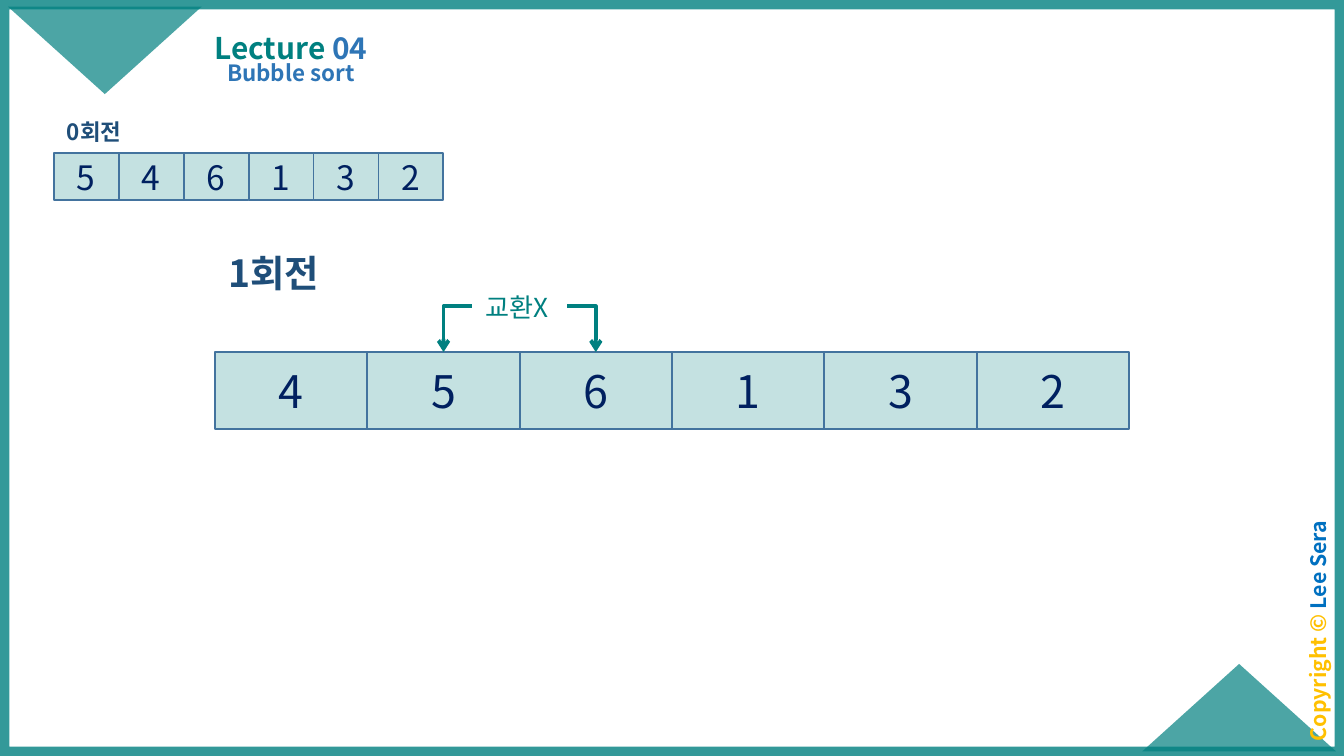
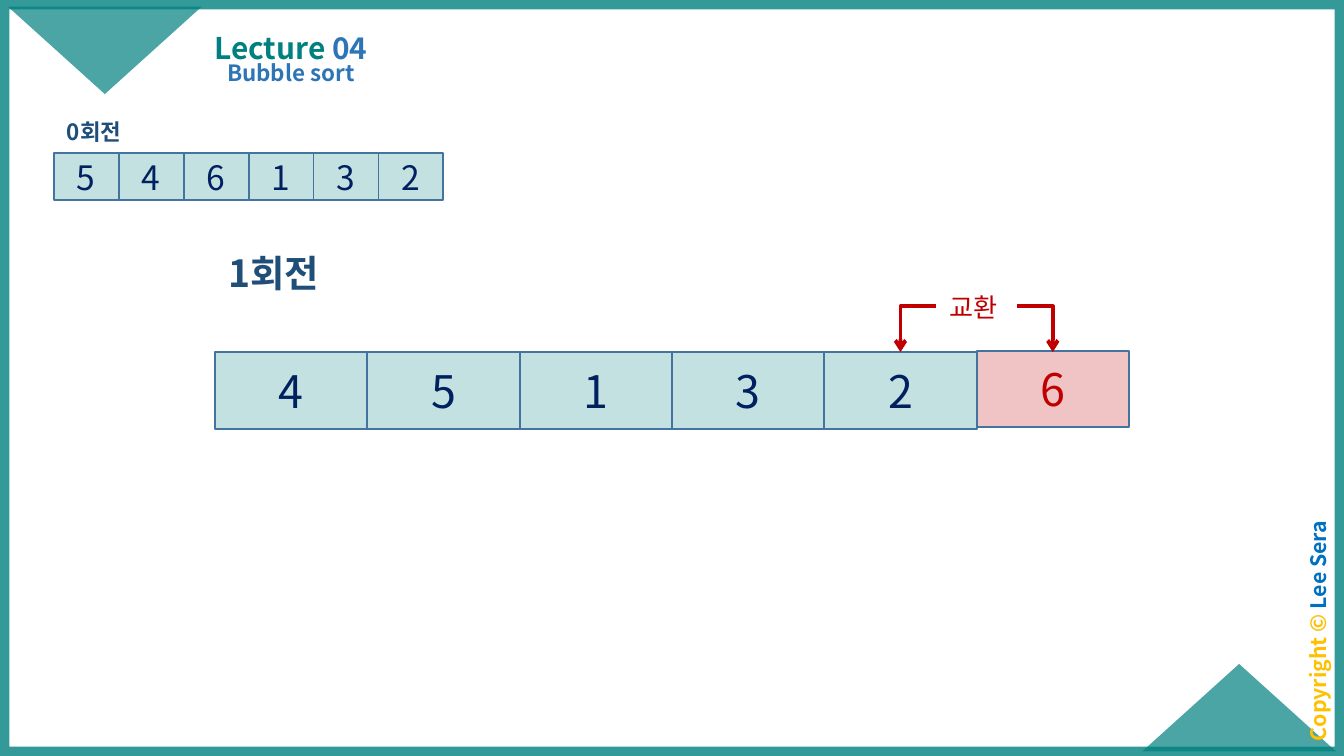
from pptx import Presentation
from pptx.dml.color import RGBColor
from pptx.enum.shapes import MSO_CONNECTOR, MSO_SHAPE
from pptx.enum.text import MSO_ANCHOR, MSO_AUTO_SIZE, PP_ALIGN
from pptx.oxml.xmlchemy import OxmlElement
from pptx.util import Inches, Pt

COLORS = {
    "teal": "008080", "navy": "002060", "red": "C00000", "border": "43739E",
    "blue": "2E75B6", "heading": "1F4E79", "gold": "FFC000", "author": "0070C0",
}
FONT = "Noto Sans CJK KR"

TITLE = [("Lecture ", "teal"), ("04", "blue")]
SUBTITLE = [("Bubble sort", "blue")]
COPYRIGHT = [("Copyright © ", "gold"), ("Lee Sera", "author")]
START = ("0회전", [5, 4, 6, 1, 3, 2])
STEPS = [
    {"round": "1회전", "values": [4, 5, 6, 1, 3, 2], "sorted": 0,
     "pair": (1, 2), "swap": "교환X", "swap_width": 0.71, "color": "teal"},
    {"round": "1회전", "values": [4, 5, 1, 3, 2, 6], "sorted": 1,
     "pair": (4, 5), "swap": "교환", "swap_width": 0.6, "color": "red"},
]

SLIDE_W = 10
SLIDE_H = SLIDE_W * 9 / 16
SMALL_ROW = {"left": 0.4, "top": 1.14, "width": 2.9, "height": 0.35, "size": 18}
LARGE_ROW = {"left": 1.6, "top": 2.62, "width": 6.8, "height": 0.57, "size": 24}
ELBOW_Y, SWAP_TOP, SWAP_H = 2.28, 2.12, 0.34
SORTED_LIFT = 0.01
TIGHT = (0.07, 0.04)


def rgb(name):
    return RGBColor.from_string(COLORS[name])


def box(*lengths):
    return [Inches(length) for length in lengths]


def set_alpha(properties, percent):
    """Make the solid colours under a shape's properties translucent."""
    for srgb in properties.findall(".//{*}srgbClr"):
        alpha = OxmlElement("a:alpha")
        alpha.set("val", str(percent * 1000))
        srgb.append(alpha)


def write(shape, runs, size, bold=False, align=PP_ALIGN.LEFT, anchor=MSO_ANCHOR.TOP,
          inset=(0.1, 0.05), spacing=None, before=None):
    """Fill a shape with one paragraph of (text, colour) runs."""
    frame = shape.text_frame
    frame.word_wrap = True
    frame.auto_size = MSO_AUTO_SIZE.NONE
    frame.vertical_anchor = anchor
    frame.margin_left = frame.margin_right = Inches(inset[0])
    frame.margin_top = frame.margin_bottom = Inches(inset[1])
    paragraph = frame.paragraphs[0]
    paragraph.alignment = align
    if spacing is not None:
        paragraph.line_spacing = spacing
    if before is not None:
        paragraph.space_before = Pt(before)
    for text, color in runs:
        run = paragraph.add_run()
        run.text = text
        run.font.size = Pt(size)
        run.font.bold = bold
        run.font.color.rgb = rgb(color)
        run.font.name = FONT
        east_asian = OxmlElement("a:ea")
        east_asian.set("typeface", FONT)
        run.font._element.append(east_asian)


def add_label(shapes, place, runs, size, **style):
    label = shapes.add_textbox(*box(*place))
    write(label, runs, size, **style)
    return label


def add_filled(shapes, kind, place, color, percent):
    shape = shapes.add_shape(kind, *box(*place))
    shape.shadow.inherit = False
    shape.fill.solid()
    shape.fill.fore_color.rgb = rgb(color)
    set_alpha(shape._element.spPr, percent)
    shape.line.fill.background()
    return shape


def place_placeholder(placeholder, place, runs, size, **style):
    placeholder.left, placeholder.top, placeholder.width, placeholder.height = box(*place)
    write(placeholder, runs, size, bold=True, align=PP_ALIGN.CENTER,
          inset=TIGHT, spacing=0.9, **style)


def add_theme(slide):
    """Add the frame, corner triangles, copyright and titles of every slide."""
    shapes = slide.shapes
    frame = shapes.add_shape(MSO_SHAPE.RECTANGLE, *box(0, 0, SLIDE_W, SLIDE_H))
    frame.shadow.inherit = False
    frame.fill.background()
    frame.line.color.rgb = rgb("teal")
    frame.line.width = Pt(10)
    set_alpha(frame._element.spPr, 80)
    for left, top, rotation in [(8.5, 4.94, 0), (0.06, 0.05, 180)]:
        corner = add_filled(shapes, MSO_SHAPE.ISOSCELES_TRIANGLE,
                            (left, top, 1.44, 0.65), "teal", 70)
        corner.rotation = rotation
    notice = add_label(shapes, (8.92, 4.57, 1.86, 0.25), COPYRIGHT, 11.4, bold=True,
                       align=PP_ALIGN.CENTER, inset=TIGHT, spacing=0.7, before=10)
    notice.rotation = 270
    title, subtitle = slide.placeholders
    place_placeholder(title, (1.4, 0.06, 1.53, 0.47), TITLE, 16, anchor=MSO_ANCHOR.BOTTOM)
    place_placeholder(subtitle, (1.1, 0.42, 2.13, 0.34), SUBTITLE, 12, before=7.5)


def add_row(shapes, values, row, sorted_count=0):
    """Draw the array; its last sorted_count cells are red."""
    cell_w = row["width"] / len(values)
    for i, value in enumerate(values):
        done = i >= len(values) - sorted_count
        top = row["top"] - (SORTED_LIFT if done else 0)
        cell = add_filled(shapes, MSO_SHAPE.RECTANGLE,
                          (row["left"] + i * cell_w, top, cell_w, row["height"]),
                          "red" if done else "teal", 23)
        cell.line.color.rgb = rgb("border")
        cell.line.width = Pt(1)
        write(cell, [(str(value), "red" if done else "navy")], row["size"],
              align=PP_ALIGN.CENTER, anchor=MSO_ANCHOR.MIDDLE)


def add_elbow(shapes, start_x, end_x, color):
    """Draw an arrow that runs sideways, then down onto the large row."""
    left, right = sorted((start_x, end_x))
    arrow = shapes.add_connector(MSO_CONNECTOR.ELBOW,
                                 *box(left, ELBOW_Y, right, LARGE_ROW["top"]))
    properties = arrow._element.spPr
    properties.find("{*}prstGeom").set("prst", "bentConnector2")
    if end_x < start_x:
        transform = properties.find("{*}xfrm")
        transform.set("rot", "10800000")
        transform.set("flipV", "1")
    arrow.line.color.rgb = rgb(color)
    arrow.line.width = Pt(2)
    tail = OxmlElement("a:tailEnd")
    tail.set("type", "arrow")
    properties.find("{*}ln").append(tail)
    properties.append(OxmlElement("a:effectLst"))


def add_swap(shapes, step):
    cell_w = LARGE_ROW["width"] / len(step["values"])
    first, second = [LARGE_ROW["left"] + (i + 0.5) * cell_w for i in step["pair"]]
    width, color = step["swap_width"], step["color"]
    left = (first + second - width) / 2
    add_elbow(shapes, left, first, color)
    add_label(shapes, (left, SWAP_TOP, width, SWAP_H), [(step["swap"], color)], 14)
    add_elbow(shapes, left + width, second, color)


def main():
    deck = Presentation()
    deck.slide_width, deck.slide_height = box(SLIDE_W, SLIDE_H)
    for step in STEPS:
        slide = deck.slides.add_slide(deck.slide_layouts[0])
        add_theme(slide)
        add_row(slide.shapes, step["values"], LARGE_ROW, step["sorted"])
        add_swap(slide.shapes.add_group_shape().shapes, step)
        start = slide.shapes.add_group_shape().shapes
        start_name, start_values = START
        add_row(start, start_values, SMALL_ROW)
        add_label(start, (0.4, 0.83, 1.57, 0.3), [(start_name, "heading")], 12, bold=True)
        add_label(slide.shapes, (1.6, 1.81, 1.57, 0.44), [(step["round"], "heading")],
                  20, bold=True)
    deck.save("out.pptx")


if __name__ == "__main__":
    main()
